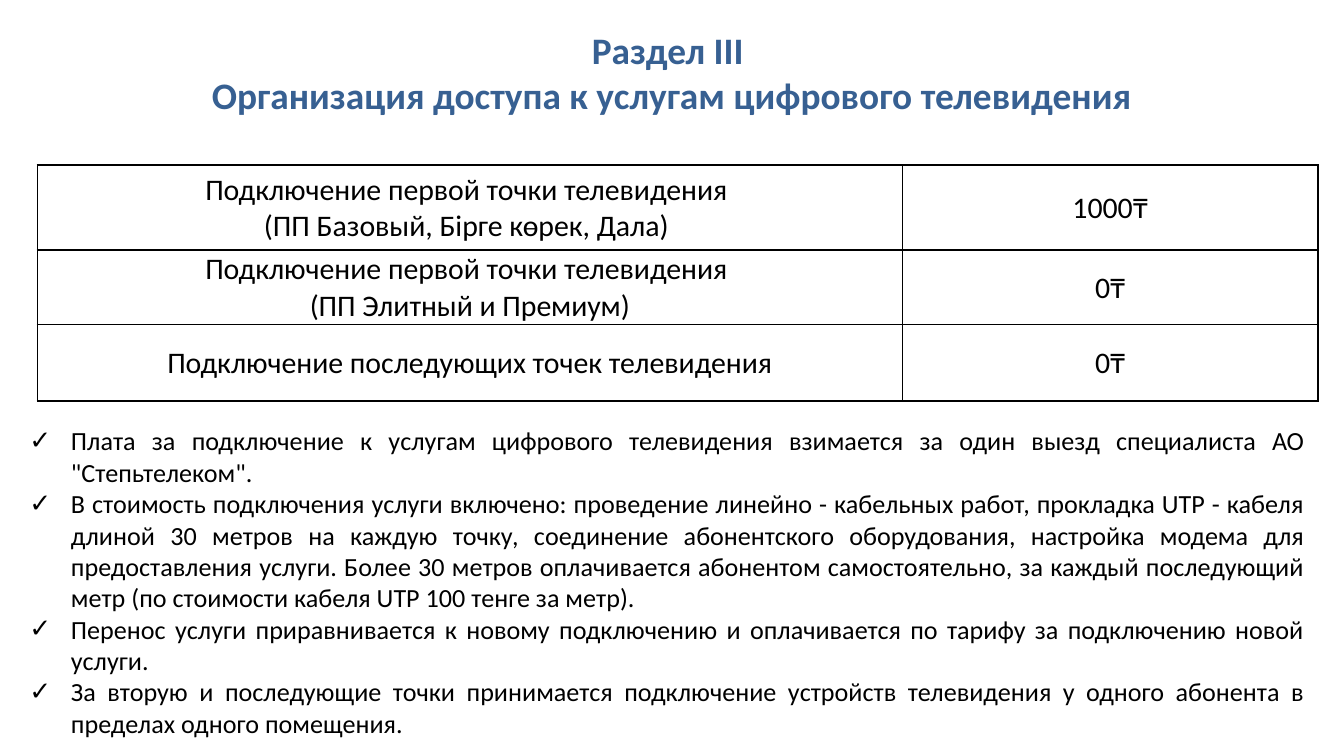
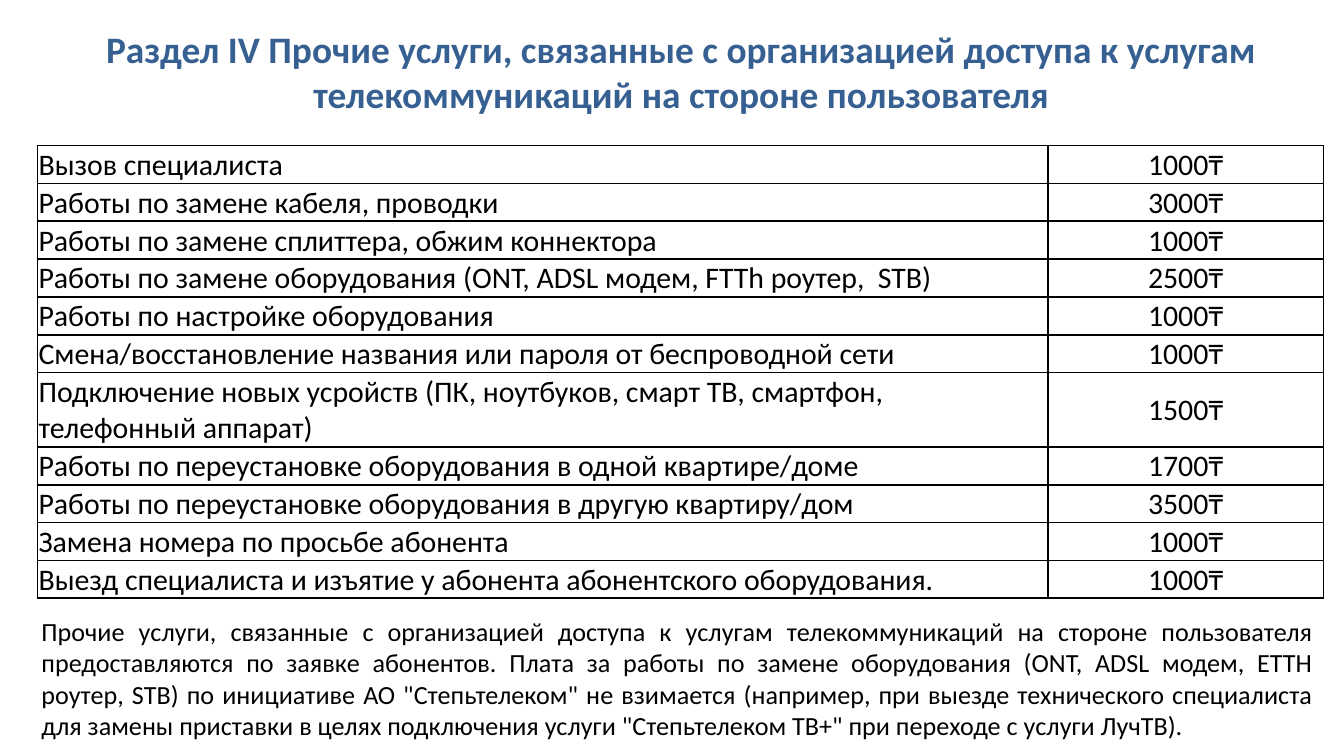
"""Build two tariff slides: television access and other user-side services."""
from lxml import etree
from pptx import Presentation
from pptx.dml.color import RGBColor
from pptx.enum.text import MSO_ANCHOR, MSO_AUTO_SIZE, PP_ALIGN
from pptx.oxml.ns import qn
from pptx.util import Pt

LEFT, CENTER, JUSTIFY = PP_ALIGN.LEFT, PP_ALIGN.CENTER, PP_ALIGN.JUSTIFY
MIDDLE, TOP = MSO_ANCHOR.MIDDLE, MSO_ANCHOR.TOP
NO_FIT = MSO_AUTO_SIZE.NONE

BLACK = RGBColor(0x00, 0x00, 0x00)
BLUE = RGBColor(0x37, 0x60, 0x92)
FONT = "Calibri"
TABLE_LEFT = 20
BULLET_INDENT = 22.3

TV_TITLE = "Раздел III \vОрганизация доступа к услугам цифрового телевидения"
TV_ROWS = [
    ("Подключение первой точки телевидения \n(ПП Базовый, Бiрге көрек, Дала) ", "1000₸"),
    ("Подключение первой точки телевидения \n(ПП Элитный и Премиум)", "0₸"),
    ("Подключение последующих точек телевидения", "0₸"),
]
TV_NOTES = "\n".join([
    "Плата за подключение к услугам цифрового телевидения взимается за один выезд "
    "специалиста АО \"Степьтелеком\". ",
    "В стоимость подключения услуги включено: проведение линейно - кабельных работ, "
    "прокладка UTP - кабеля длиной 30 метров на каждую точку, соединение абонентского "
    "оборудования, настройка модема для предоставления услуги. Более 30 метров "
    "оплачивается абонентом самостоятельно, за каждый последующий метр "
    "(по стоимости кабеля UTP 100 тенге за метр).",
    "Перенос услуги приравнивается к новому подключению и оплачивается по тарифу "
    "за подключению новой услуги.",
    "За вторую и последующие точки принимается подключение устройств телевидения "
    "у одного абонента в пределах одного помещения.",
])

OTHER_TITLE = ("Раздел IV Прочие услуги, связанные с организацией доступа к услугам "
               "телекоммуникаций на стороне пользователя")
OTHER_ROWS = [
    ("Вызов специалиста", "1000₸"),
    ("Работы по замене кабеля, проводки", "3000₸"),
    ("Работы по замене сплиттера, обжим коннектора", "1000₸"),
    ("Работы по замене оборудования (ONT, ADSL модем, FTTh роутер,  STB)", "2500₸"),
    ("Работы по настройке оборудования ", "1000₸"),
    ("Смена/восстановление названия или пароля от беспроводной сети", "1000₸"),
    ("Подключение новых усройств (ПК, ноутбуков, смарт ТВ, смартфон, "
     "телефонный аппарат)", "1500₸"),
    ("Работы по переустановке оборудования в одной квартире/доме", "1700₸"),
    ("Работы по переустановке оборудования в другую квартиру/дом", "3500₸"),
    ("Замена номера по просьбе абонента", "1000₸"),
    ("Выезд специалиста и изъятие у абонента абонентского оборудования.", "1000₸"),
]
OTHER_NOTE = (
    "Прочие услуги, связанные с организацией доступа к услугам телекоммуникаций на "
    "стороне пользователя предоставляются по заявке абонентов. Плата за работы по замене "
    "оборудования (ONT, ADSL модем, ETTH роутер, STB) по инициативе АО \"Степьтелеком\" "
    "не взимается (например, при выезде технического специалиста для замены приставки "
    "в целях подключения услуги \"Степьтелеком ТВ+\" при переходе с услуги ЛучТВ)."
)


def write(tf, text, size=14, color=BLACK, bold=False, align=LEFT):
    """Fill a text frame, one paragraph per line, in the given format."""
    tf.text = text
    for p in tf.paragraphs:
        p.alignment = align
        p.space_before = Pt(0)
        for r in p.runs:
            r.font.name = FONT
            r.font.size = Pt(size)
            r.font.bold = bold
            r.font.color.rgb = color
        for br in p._p.findall(qn("a:br")):
            etree.SubElement(br, qn("a:rPr"), sz=str(size * 100))


def place(sp, left, top, width, height, anchor):
    """Move a placeholder and set how its text sits."""
    sp.left, sp.top, sp.width, sp.height = (Pt(v) for v in (left, top, width, height))
    tf = sp.text_frame
    tf.word_wrap = True
    tf.auto_size = NO_FIT
    tf.vertical_anchor = anchor
    return tf


def add_title(s, text, box):
    """Write the slide title."""
    write(place(s.shapes.title, *box, MIDDLE), text, size=20, color=BLUE,
          bold=True, align=CENTER)


def add_notes(s, text, box, bullet=None):
    """Write the justified terms under the table, with or without bullets."""
    tf = place(s.placeholders[1], *box, TOP)
    write(tf, text, align=JUSTIFY)
    indent = Pt(BULLET_INDENT) if bullet else 0
    for p in tf.paragraphs:
        pPr = p._p.get_or_add_pPr()
        pPr.set("marL", str(indent))
        pPr.set("indent", str(-indent))
        if bullet:
            etree.SubElement(pPr, qn("a:buChar"), char=bullet)
        else:
            etree.SubElement(pPr, qn("a:buNone"))


def set_borders(cell):
    """Draw a thin black line on all four sides of a cell."""
    tcPr = cell._tc.get_or_add_tcPr()
    for side in ("a:lnL", "a:lnR", "a:lnT", "a:lnB"):
        ln = etree.SubElement(tcPr, qn(side), w=str(Pt(1)))
        fill = etree.SubElement(ln, qn("a:solidFill"))
        etree.SubElement(fill, qn("a:srgbClr"), val=str(BLACK))


def add_price_table(s, rows, top, widths, heights, label_align):
    """Add a table of services and prices."""
    frame = s.shapes.add_table(len(rows), len(widths), Pt(TABLE_LEFT), Pt(top),
                               Pt(sum(widths)), Pt(sum(heights)))
    table = frame.table
    table.first_row = table.horz_banding = False
    for col, width in zip(table.columns, widths):
        col.width = Pt(width)
    for row, height, texts in zip(table.rows, heights, rows):
        row.height = Pt(height)
        for cell, text, align in zip(row.cells, texts, (label_align, CENTER)):
            cell.margin_left = cell.margin_right = cell.margin_top = Pt(0.7)
            cell.margin_bottom = 0
            cell.vertical_anchor = MIDDLE
            set_borders(cell)
            cell.fill.background()
            write(cell.text_frame, text, size=16, align=align)


def main():
    """Build both slides and save the file."""
    prs = Presentation()
    prs.slide_width, prs.slide_height = Pt(720), Pt(405)
    layout = prs.slide_layouts[1]

    s = prs.slides.add_slide(layout)
    add_title(s, TV_TITLE, (36, 4.5, 648, 68))
    add_price_table(s, TV_ROWS, 88.5, (463.5, 222.5), (45.5, 39, 41), CENTER)
    add_notes(s, TV_NOTES, (8.5, 224, 698, 177), bullet="✓")

    s = prs.slides.add_slide(layout)
    add_title(s, OTHER_TITLE, (41, 10, 648, 56))
    add_price_table(s, OTHER_ROWS, 78, (541.5, 147.5), [20] * len(OTHER_ROWS), LEFT)
    add_notes(s, OTHER_NOTE, (15, 326, 696, 75))

    prs.save("out.pptx")


main()
